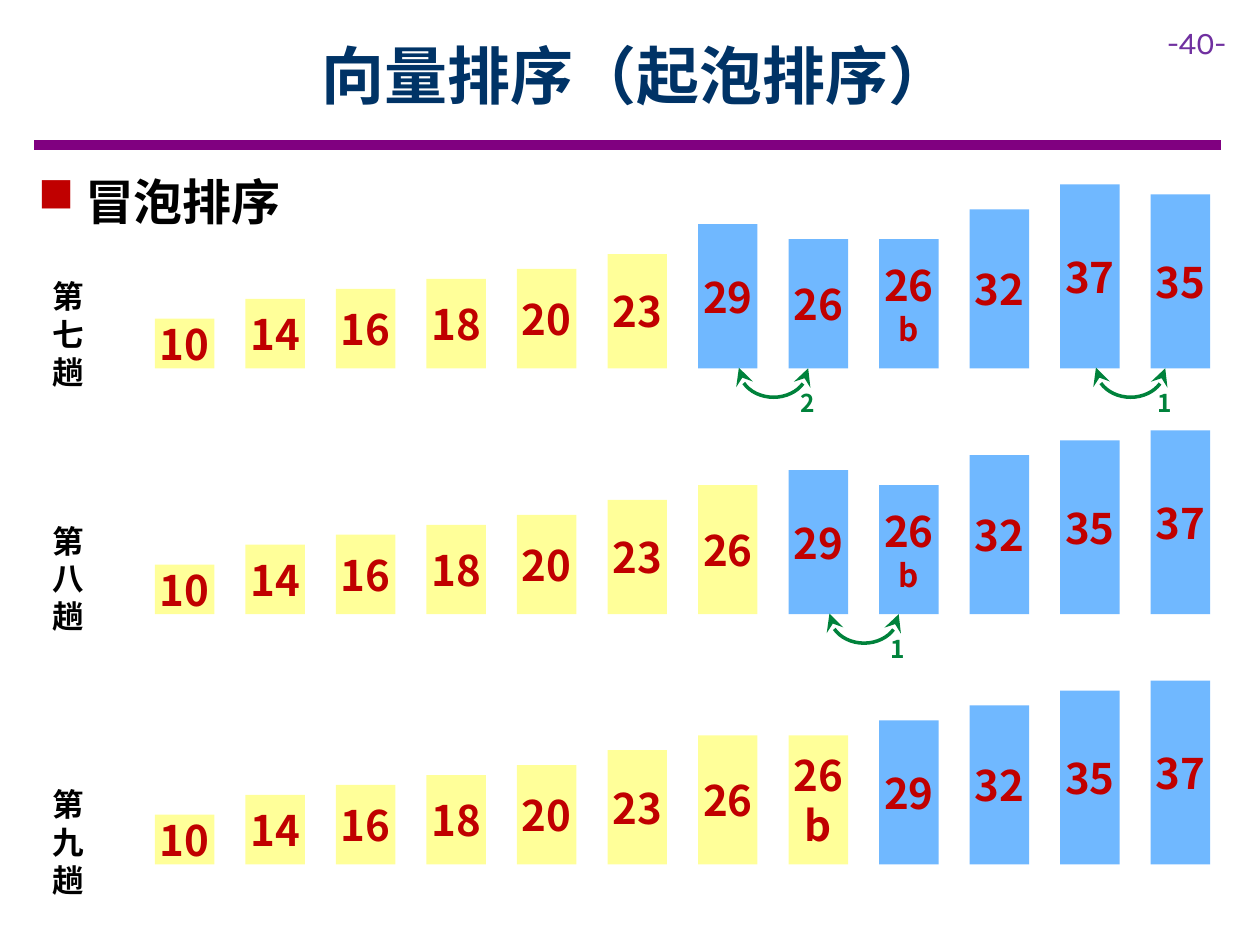
"""Build the bubble sort slide showing passes seven to nine."""
from lxml.etree import SubElement
from pptx import Presentation
from pptx.dml.color import RGBColor
from pptx.enum.shapes import MSO_CONNECTOR, MSO_SHAPE
from pptx.enum.text import MSO_ANCHOR, MSO_AUTO_SIZE, PP_ALIGN
from pptx.oxml.ns import qn
from pptx.util import Pt

TITLE = "向量排序（起泡排序）"
HEADING = "冒泡排序"
PAGE_NUMBER = "-40-"
PASSES = [
    {"name": "第七趟", "name_top": 154.8, "base": 210.5, "sorted": 6, "suffix_size": 18,
     "bars": ["10", "14", "16", "18", "20", "23", "29", "26", "26\nb", "32", "37", "35"],
     "swaps": [(10, "1", 23.7), (6, "2", 26.6)]},
    {"name": "第八趟", "name_top": 294.5, "base": 351, "sorted": 7, "suffix_size": 18,
     "bars": ["10", "14", "16", "18", "20", "23", "26", "29", "26\nb", "32", "35", "37"],
     "swaps": [(7, "1", 26.6)]},
    {"name": "第九趟", "name_top": 445, "base": 494, "sorted": 8, "suffix_size": 24,
     "bars": ["10", "14", "16", "18", "20", "23", "26", "26\nb", "29", "32", "35", "37"],
     "swaps": []},
]
CJK = "Noto Sans CJK SC"
FIRST_LEFT, PITCH, BAR_WIDTH, UNIT = 88.5, 51.73, 34, 2.84
SORTED, UNSORTED, RED, GREEN = "FFFF99", "70B8FF", "C00000", "00823B"


def color(value):
    return RGBColor.from_string(value)


def style(para, size, shade, font=CJK, bold=True, align=PP_ALIGN.LEFT):
    para.alignment = align
    para.space_before = Pt(0)
    for span in para.runs:
        span.font.size, span.font.bold, span.font.name = Pt(size), bold, font
        span.font.color.rgb = color(shade)
        SubElement(span.font._element, qn("a:ea"), typeface=font)


def place(shape, left, top, width, height):
    shape.left, shape.top = Pt(left), Pt(top)
    shape.width, shape.height = Pt(width), Pt(height)


def add_label(page, text, area, size, shade, wrap=True, **options):
    box = page.shapes.add_textbox(*map(Pt, area))
    frame = box.text_frame
    frame.text = text
    frame.word_wrap = wrap
    frame.auto_size = MSO_AUTO_SIZE.SHAPE_TO_FIT_TEXT
    style(frame.paragraphs[0], size, shade, **options)


def add_bar(page, text, left, base, fill, suffix_size):
    height = int(text.split("\n")[0]) * UNIT
    bar = page.shapes.add_shape(
        MSO_SHAPE.RECTANGLE, Pt(left), Pt(base - height), Pt(BAR_WIDTH), Pt(height))
    bar.shadow.inherit = False
    bar.fill.solid()
    bar.fill.fore_color.rgb = color(fill)
    bar.line.fill.background()
    frame = bar.text_frame
    frame.text = text
    frame.word_wrap = True
    frame.vertical_anchor = MSO_ANCHOR.MIDDLE
    frame.margin_left = frame.margin_right = Pt(0)
    frame.margin_top = frame.margin_bottom = Pt(7.2)
    for para, size in zip(frame.paragraphs, (24, suffix_size)):
        style(para, size, RED, align=PP_ALIGN.CENTER)


def add_swap(page, order, left, base):
    arc = page.shapes.add_shape(MSO_SHAPE.ARC, Pt(left), Pt(base - 19.8), Pt(33.1), Pt(39.6))
    arc.shadow.inherit = False
    arc.rotation = 90
    arc.adjustments[0], arc.adjustments[1] = 162, 54.6
    arc.fill.background()
    arc.line.color.rgb = color(GREEN)
    arc.line.width = Pt(2)
    outline = arc.line._get_or_add_ln()
    for end in ("a:headEnd", "a:tailEnd"):
        SubElement(outline, qn(end), type="stealth", w="lg", len="lg")
    add_label(page, order, (left + 24.5, base + 7.9, 23, 24.5), 14, GREEN,
              wrap=False, align=PP_ALIGN.CENTER)


def add_heading(page):
    body = page.placeholders[1]
    place(body, 14.4, 94.3, 689, 41)
    body.text_frame.text = HEADING
    para = body.text_frame.paragraphs[0]
    style(para, 28, "000000")
    para.space_after = Pt(6)
    properties = para._p.get_or_add_pPr()
    properties.set("marL", str(Pt(27)))
    properties.set("indent", str(-Pt(27)))
    bullet_color = SubElement(properties, qn("a:buClr"))
    SubElement(bullet_color, qn("a:srgbClr"), val=RED)
    SubElement(properties, qn("a:buFont"), typeface="Wingdings")
    SubElement(properties, qn("a:buChar"), char="n")


def main():
    deck = Presentation()
    deck.slide_width, deck.slide_height = Pt(720), Pt(540)
    page = deck.slides.add_slide(deck.slide_layouts[1])

    rule = page.shapes.add_connector(MSO_CONNECTOR.STRAIGHT, Pt(19.6), Pt(82.8), Pt(697.7), Pt(82.8))
    rule.line.color.rgb = color("800080")
    rule.line.width = Pt(6)
    SubElement(rule._element.spPr, qn("a:effectLst"))

    title = page.shapes.title
    place(title, 64.8, 6.5, 598.3, 72)
    title.text_frame.text = TITLE
    title.text_frame.vertical_anchor = MSO_ANCHOR.MIDDLE
    style(title.text_frame.paragraphs[0], 36, "003366", align=PP_ALIGN.CENTER)
    add_heading(page)
    add_label(page, PAGE_NUMBER, (660.2, 9.4, 59.8, 28.8), 18, "7030A0", font="Karla", bold=False)

    for step in PASSES:
        for index, text in enumerate(step["bars"]):
            fill = SORTED if index < step["sorted"] else UNSORTED
            add_bar(page, text, FIRST_LEFT + index * PITCH, step["base"], fill, step["suffix_size"])
        for index, order, offset in step["swaps"]:
            add_swap(page, order, FIRST_LEFT + index * PITCH + offset, step["base"])
        add_label(page, step["name"], (23, step["name_top"], 37.4, 72.7), 18, "000000")

    deck.save("out.pptx")


if __name__ == "__main__":
    main()
